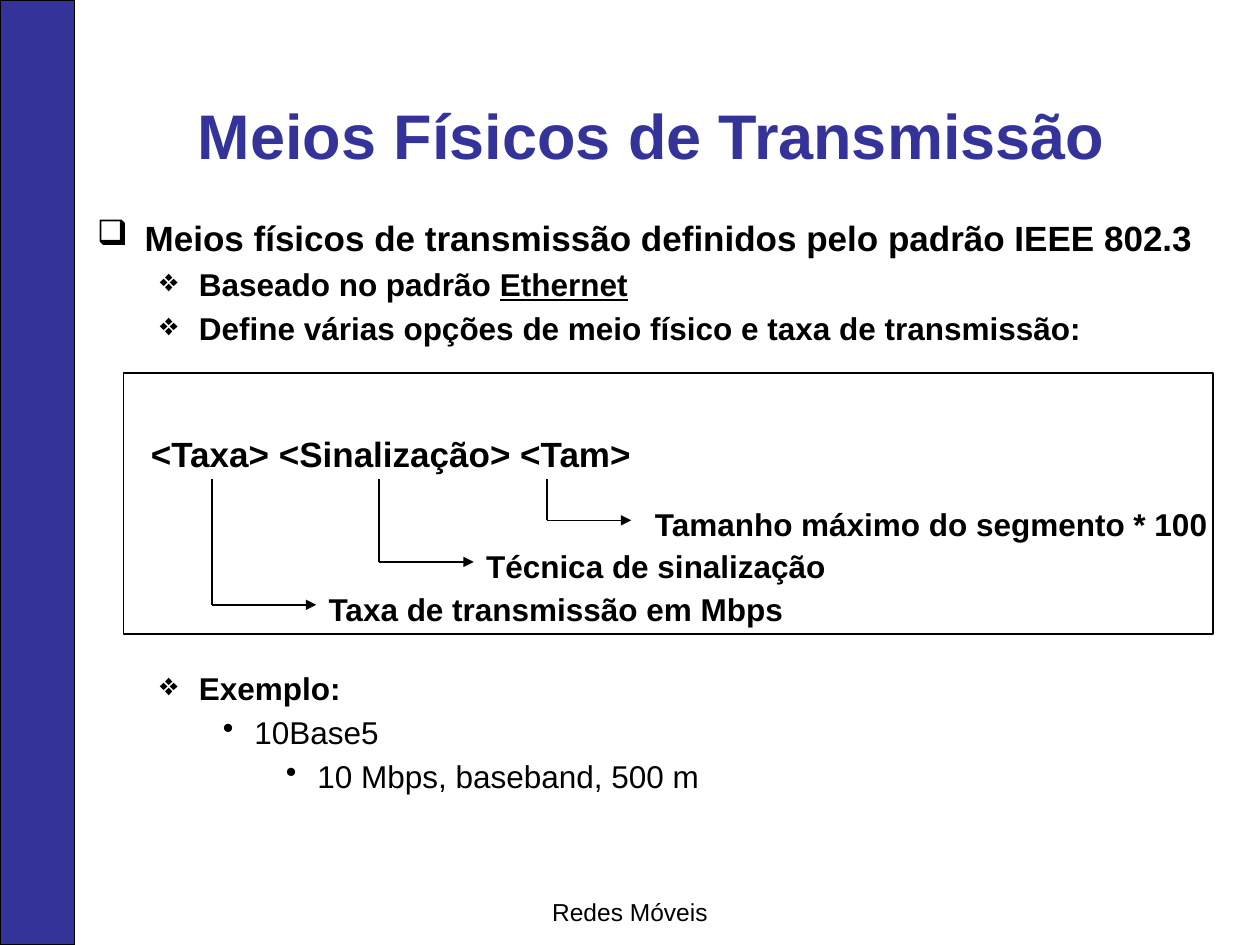
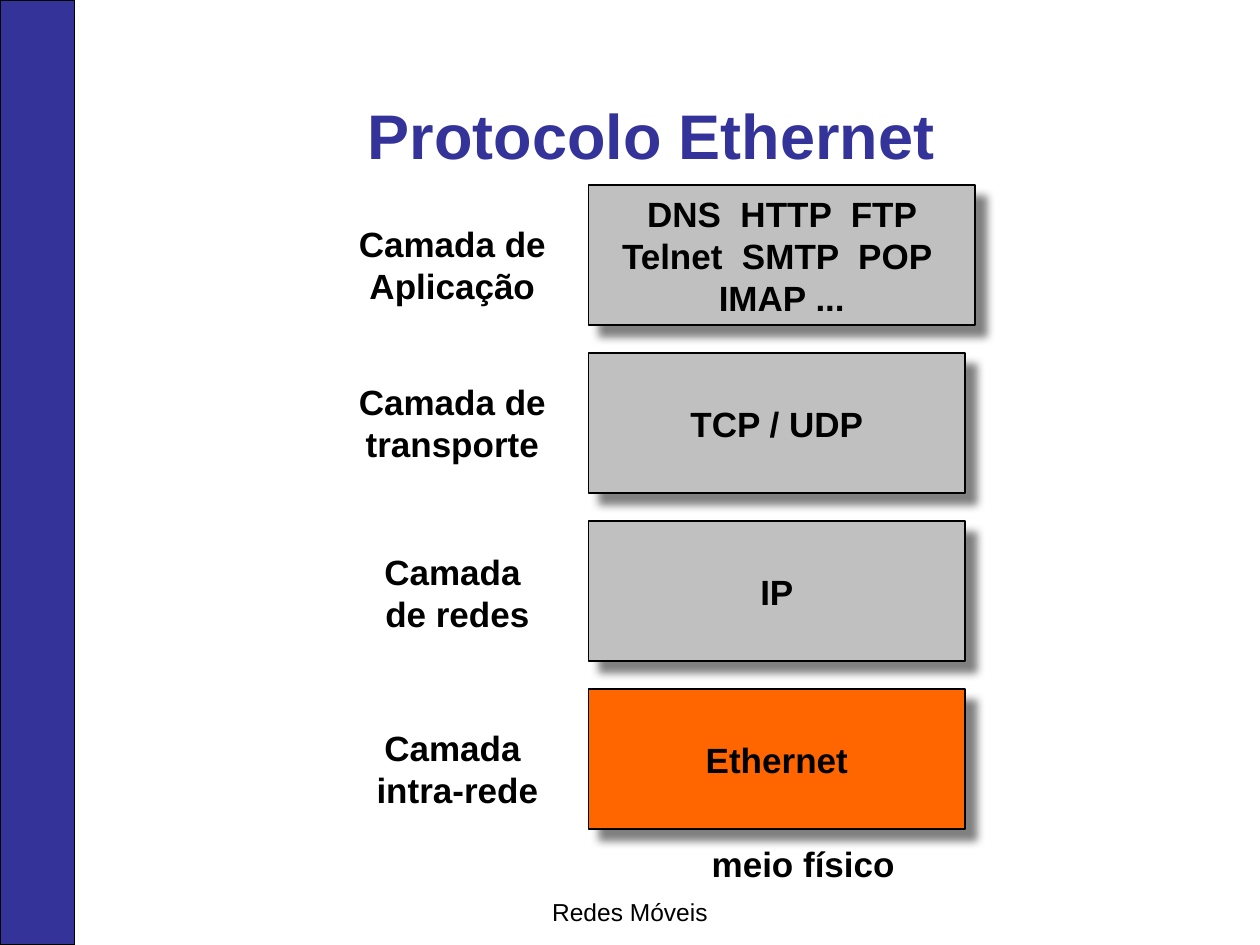
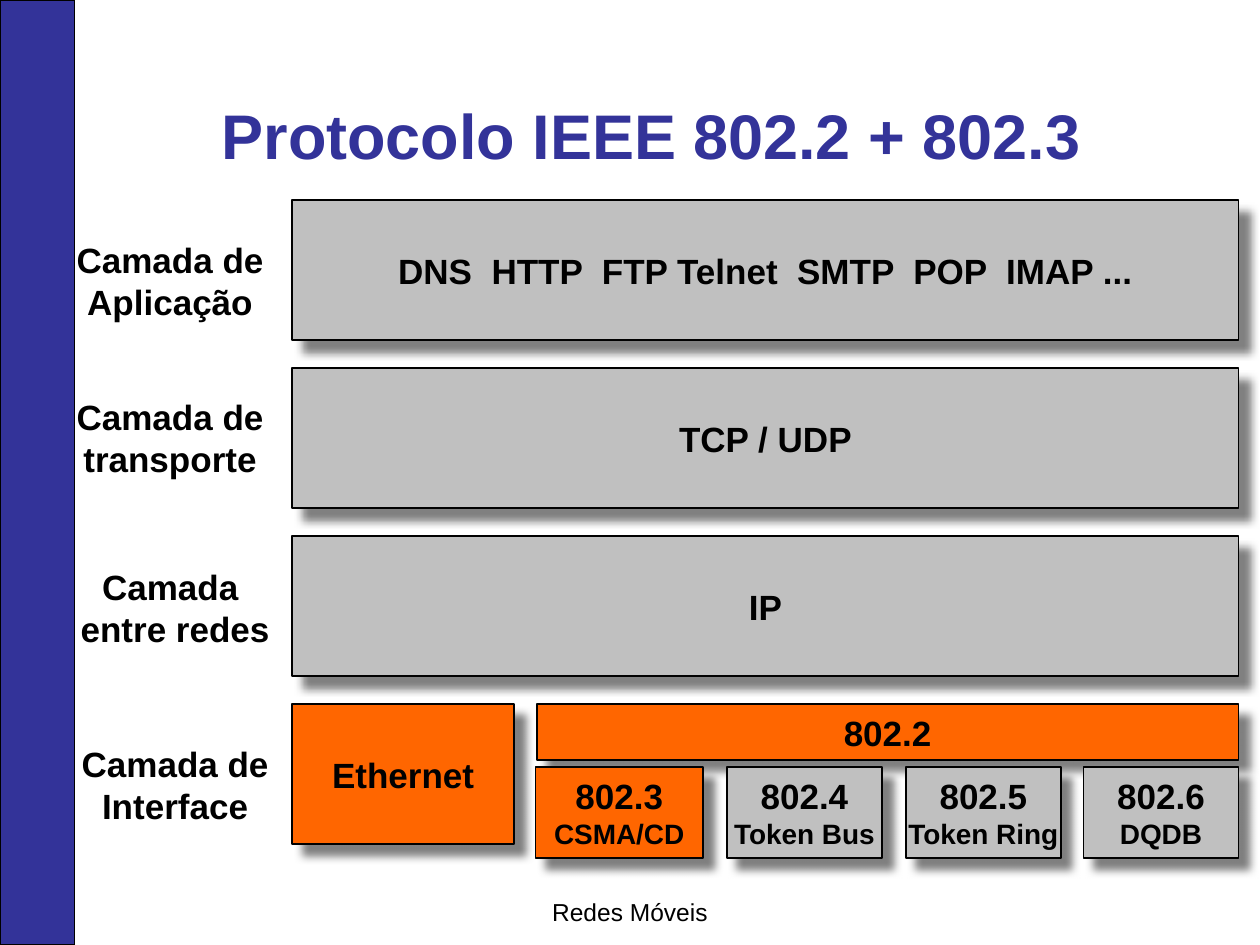
"""Build three slides on Ethernet media and the IEEE 802 protocol layers."""
from lxml.etree import SubElement
from pptx import Presentation
from pptx.dml.color import RGBColor
from pptx.enum.shapes import MSO_CONNECTOR as Connector, MSO_SHAPE as Shape
from pptx.enum.text import MSO_ANCHOR as Anchor, MSO_AUTO_SIZE as AutoSize, PP_ALIGN as Align
from pptx.oxml.ns import qn
from pptx.util import Inches, Pt

BLACK = RGBColor(0x00, 0x00, 0x00)
NAVY = RGBColor(0x33, 0x33, 0x99)
SILVER = RGBColor(0xC0, 0xC0, 0xC0)
ORANGE = RGBColor(0xFF, 0x66, 0x00)
SHADOW = RGBColor(0x80, 0x80, 0x80)
FONT = "Arial"
FOOTER = "Redes Móveis"
TITLE_ONLY = 5
LAYER_HEIGHT = 1.11
LAYER_PITCH = 4 / 3
LABEL_DROPS = (0.25, 0.17, 0.18, 0.25)
LABEL_WIDTHS = (2, 2, 2.08, 2.08)
BULLETS = (("❑", 0.38, 0.38), ("❖", 0.81, 0.31), ("•", 1.25, 0.25), ("•", 1.75, 0.25))


class Deck:
    def __init__(self):
        self.prs = Presentation()
        self.prs.slide_width, self.prs.slide_height = Inches(10), Inches(7.5)
        self.slide = None

    def new_slide(self, heading):
        self.slide = self.prs.slides.add_slide(self.prs.slide_layouts[TITLE_ONLY])
        self.rect((0, 0, 0.59, 7.5), NAVY, weight=0.75)
        self.text((0, 7.07, 10, 0.34), FOOTER, size=14, bold=False, align=Align.CENTER)
        title = self.slide.shapes.title
        title.left, title.top, title.width, title.height = map(Inches, (0.42, 0.21, 9.5, 1.21))
        self.fill_frame(title.text_frame, [(heading, 36)], Align.CENTER, Anchor.BOTTOM, color=NAVY)

    def add_runs(self, paragraph, text, size, bold=True, color=BLACK, underline=False):
        for index, line in enumerate(text.split("\n")):
            if index:
                paragraph.add_line_break()
            if line:
                run = paragraph.add_run()
                run.text = line
                font = run.font
                font.name, font.size, font.bold = FONT, Pt(size), bold
                font.color.rgb = color
                if underline:
                    font.underline = True

    def fill_frame(self, frame, runs, align, anchor=Anchor.TOP, side=0.1, **style):
        frame.word_wrap, frame.auto_size = True, AutoSize.NONE
        frame.vertical_anchor = anchor
        frame.margin_left = frame.margin_right = Inches(side)
        frame.margin_top = frame.margin_bottom = Inches(0.05)
        paragraph = frame.paragraphs[0]
        paragraph.alignment = align
        for text, size in runs:
            self.add_runs(paragraph, text, size, **style)

    def text(self, box, content, size=20, bold=True, align=Align.LEFT):
        frame = self.slide.shapes.add_textbox(*map(Inches, box)).text_frame
        self.fill_frame(frame, [(content, size)], align, bold=bold)

    def outline(self, box, items):
        frame = self.slide.shapes.add_textbox(*map(Inches, box)).text_frame
        self.fill_frame(frame, [], Align.LEFT)
        for index, (level, size, bold, pieces) in enumerate(items):
            paragraph = frame.add_paragraph() if index else frame.paragraphs[0]
            paragraph.level = level
            mark, margin, hang = BULLETS[level]
            props = paragraph._p.get_or_add_pPr()
            props.set("marL", str(Inches(margin)))
            props.set("indent", str(-Inches(hang)))
            SubElement(SubElement(props, qn("a:buClr")), qn("a:srgbClr"), val=str(BLACK))
            SubElement(props, qn("a:buChar"), char=mark)
            if index:
                paragraph.space_before = Pt(3.6)
            for text, underline in pieces:
                self.add_runs(paragraph, text, size, bold, underline=underline)

    def rect(self, box, color=None, weight=1):
        shape = self.slide.shapes.add_shape(Shape.RECTANGLE, *map(Inches, box))
        shape.shadow.inherit = False
        if color is None:
            shape.fill.background()
        else:
            shape.fill.solid()
            shape.fill.fore_color.rgb = color
        shape.line.color.rgb, shape.line.width = BLACK, Pt(weight)
        return shape

    def block(self, box, color, *runs, side=0.1):
        shape = self.rect(box, color)
        effects = shape.element.spPr.find(qn("a:effectLst"))
        shadow = SubElement(effects, qn("a:outerShdw"), blurRad=str(Pt(5)), dist=str(Pt(8.5)),
                            dir=str(45 * 60000), algn="ctr", rotWithShape="0")
        SubElement(shadow, qn("a:srgbClr"), val=str(SHADOW))
        self.fill_frame(shape.text_frame, runs, Align.CENTER, Anchor.MIDDLE, side)

    def line(self, start, end, arrow=False):
        connector = self.slide.shapes.add_connector(Connector.STRAIGHT, *map(Inches, start + end))
        connector.line.color.rgb, connector.line.width = BLACK, Pt(1)
        if arrow:
            SubElement(connector.line._get_or_add_ln(), qn("a:tailEnd"), type="triangle")
        SubElement(connector.element.spPr, qn("a:effectLst"))

    def labels(self, left, top, names):
        for row, (name, drop, width) in enumerate(zip(names, LABEL_DROPS, LABEL_WIDTHS)):
            self.text((left, top + row * LAYER_PITCH + drop, width, 0.76), name, align=Align.CENTER)

    def layers(self, left, top, stack):
        for row, (name, width, color) in enumerate(stack):
            self.block((left, top + row * LAYER_PITCH, width, LAYER_HEIGHT), color, (name, 20))


def media_slide(deck):
    deck.new_slide("Meios Físicos de Transmissão")
    deck.outline((0.67, 1.67, 9.25, 1.2), [
        (0, 20, True, [("Meios físicos de transmissão definidos pelo padrão IEEE 802.3", False)]),
        (1, 18, True, [("Baseado no padrão ", False), ("Ethernet", True)]),
        (1, 18, True, [("Define várias opções de meio físico e taxa de transmissão:", False)]),
    ])
    deck.outline((0.67, 5.26, 9.25, 1.2), [
        (1, 18, True, [("Exemplo:", False)]),
        (2, 18, False, [("10Base5", False)]),
        (3, 18, False, [("10 Mbps, baseband, 500 m", False)]),
    ])
    deck.text((1.1, 3.38, 5.16, 0.43), "<Taxa> <Sinalização> <Tam>")
    for stem, turn, tip, left, width, meaning in (
        (1.68, 4.8, 2.51, 2.51, 6.91, "Taxa de transmissão em Mbps"),
        (3.01, 4.46, 3.76, 3.76, 5.83, "Técnica de sinalização"),
        (4.34, 4.13, 5.01, 5.1, 4.66, "Tamanho máximo do segmento * 100"),
    ):
        deck.text((left, turn - 0.17, width, 0.4), meaning, size=18)
        deck.line((stem, 3.8), (stem, turn))
        deck.line((stem, turn), (tip, turn), arrow=True)
    deck.rect((0.98, 2.96, 8.65, 2.07))


def ethernet_slide(deck):
    deck.new_slide("Protocolo Ethernet")
    deck.layers(4.67, 1.47, [
        ("DNS  HTTP  FTP Telnet  SMTP  POP  IMAP ...", 3.07, SILVER),
        ("TCP / UDP", 2.99, SILVER),
        ("IP", 2.99, SILVER),
        ("Ethernet", 2.99, ORANGE),
    ])
    deck.text((5.25, 6.64, 2.25, 0.43), "meio físico", align=Align.CENTER)
    deck.labels(2.59, 1.47, ("Camada de Aplicação", "Camada de transporte",
                             "Camada \nde redes", "Camada \nintra-rede"))


def ieee_slide(deck):
    deck.new_slide("Protocolo IEEE 802.2 + 802.3")
    deck.layers(2.32, 1.59, [
        ("DNS  HTTP  FTP Telnet  SMTP  POP  IMAP ...", 7.51, SILVER),
        ("TCP / UDP", 7.51, SILVER),
        ("IP", 7.51, SILVER),
        ("Ethernet", 1.76, ORANGE),
    ])
    deck.block((4.26, 5.59, 5.57, 0.44), ORANGE, ("802.2", 20))
    for left, width, color, standard, access in (
        (4.25, 1.33, ORANGE, "802.3", "CSMA/CD"),
        (5.77, 1.23, SILVER, "802.4", "Token Bus"),
        (7.19, 1.23, SILVER, "802.5", "Token Ring"),
        (8.6, 1.23, SILVER, "802.6", "DQDB"),
    ):
        deck.block((left, 6.09, width, 0.72), color, (standard + "\n", 20), (access, 16), side=0)
    deck.labels(0.35, 1.59, ("Camada de Aplicação", "Camada de transporte",
                             "Camada \nentre redes", "Camada de Interface"))


def main():
    deck = Deck()
    media_slide(deck)
    ethernet_slide(deck)
    ieee_slide(deck)
    deck.prs.save("out.pptx")


if __name__ == "__main__":
    main()
